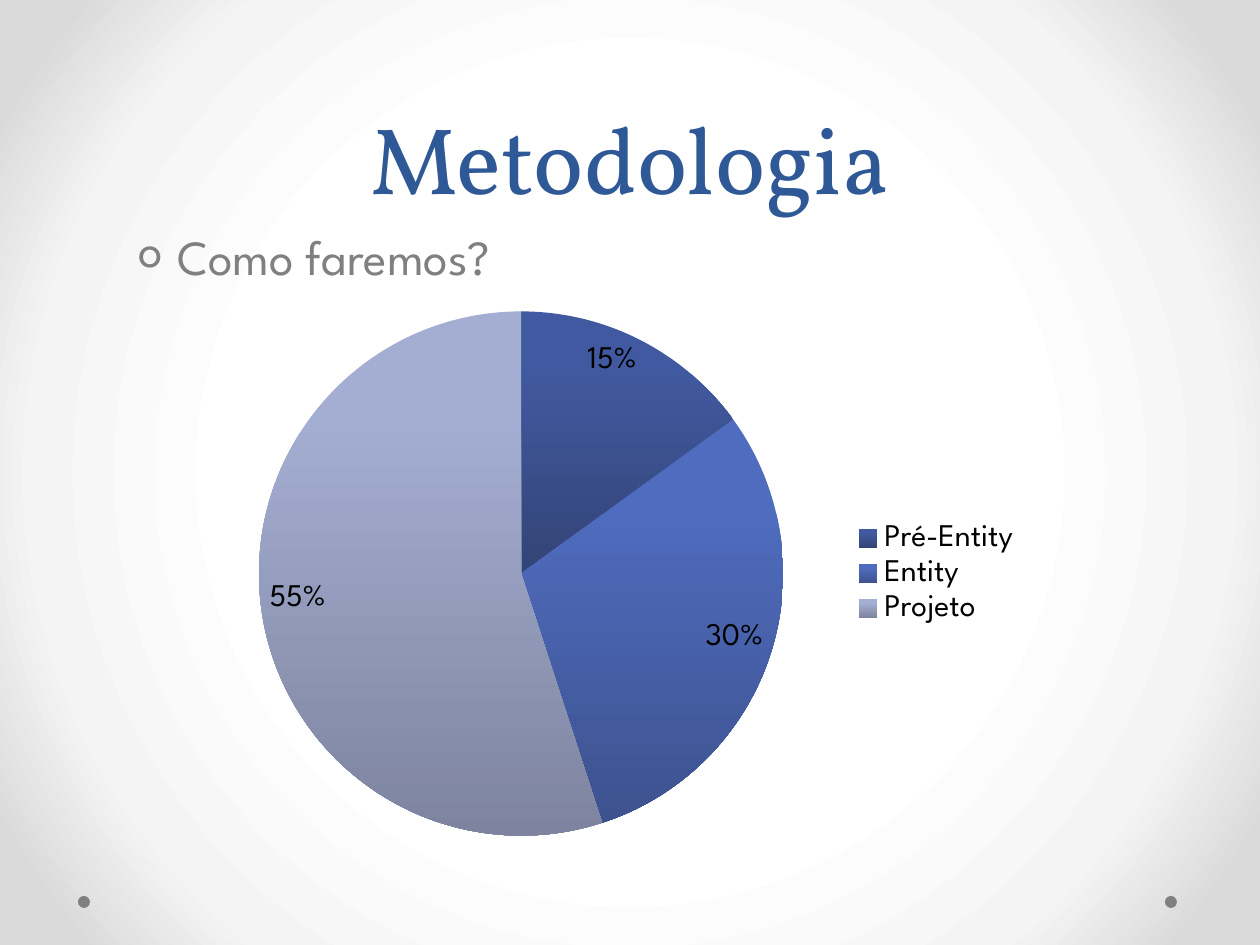
from pptx import Presentation
from pptx.chart.data import CategoryChartData
from pptx.dml.color import RGBColor
from pptx.enum.chart import XL_CHART_TYPE, XL_LABEL_POSITION, XL_LEGEND_POSITION
from pptx.enum.shapes import MSO_SHAPE
from pptx.enum.text import MSO_ANCHOR, PP_ALIGN
from pptx.oxml import parse_xml
from pptx.oxml.ns import nsdecls
from pptx.util import Emu, Pt

PIXEL = 914400 // 126
HEADING_FONT = "Vollkorn"
BODY_FONT = "League Spartan"
BLUE = RGBColor(0x2F, 0x58, 0x97)
GREY = RGBColor(0x80, 0x80, 0x80)
BLACK = RGBColor(0x00, 0x00, 0x00)
BACKGROUND_STOPS = [(50, "FFFFFF"), (76, "F4F4F4"), (92, "DADADA")]
SLICES = [
    ("Pré-Entity", 15, RGBColor(0x41, 0x59, 0xA0), RGBColor(0x33, 0x44, 0x76)),
    ("Entity", 30, RGBColor(0x4F, 0x6C, 0xBF), RGBColor(0x3D, 0x52, 0x8E)),
    ("Projeto", 55, RGBColor(0xA4, 0xAE, 0xD2), RGBColor(0x7E, 0x84, 0x9F)),
]


def pixels(*lengths):
    """Turn pixel lengths into EMU."""
    return [Emu(length * PIXEL) for length in lengths]


def format_font(font, name=BODY_FONT, size=18, color=BLACK):
    """Set the typeface, size and colour of a font."""
    font.name = name
    font.size = Pt(size)
    font.color.rgb = color


def write_text(frame, text, align=PP_ALIGN.LEFT, anchor=MSO_ANCHOR.TOP, **font_format):
    """Put one formatted paragraph in a text frame and return it."""
    frame.word_wrap = True
    frame.vertical_anchor = anchor
    paragraph = frame.paragraphs[0]
    paragraph.alignment = align
    run = paragraph.add_run()
    run.text = text
    format_font(run.font, **font_format)
    return paragraph


class SlideBuilder:
    """Adds styled elements to one slide."""

    def __init__(self, presentation):
        """Start a slide on the title-only layout."""
        self.slide = presentation.slides.add_slide(presentation.slide_layouts[5])

    def background(self, stops):
        """Fill the background with a circular gradient."""
        stop_xml = "".join(
            f'<a:gs pos="{position * 1000}"><a:srgbClr val="{color}"/></a:gs>'
            for position, color in stops
        )
        self.slide.element.cSld.insert(0, parse_xml(
            f'<p:bg {nsdecls("p", "a")}><p:bgPr><a:gradFill rotWithShape="1">'
            f'<a:gsLst>{stop_xml}</a:gsLst><a:path path="circle">'
            '<a:fillToRect l="50000" t="50000" r="50000" b="50000"/></a:path>'
            '</a:gradFill><a:effectLst/></p:bgPr></p:bg>'
        ))

    def title(self, text, left, top, width, height):
        """Place and format the title."""
        title = self.slide.shapes.title
        title.left, title.top, title.width, title.height = pixels(left, top, width, height)
        paragraph = write_text(title.text_frame, text, PP_ALIGN.CENTER, MSO_ANCHOR.BOTTOM,
                               name=HEADING_FONT, size=54, color=BLUE)
        paragraph.line_spacing = Pt(58)

    def bullet(self, text, left, top, width, height):
        """Add a text box with one bulleted paragraph."""
        box = self.slide.shapes.add_textbox(*pixels(left, top, width, height))
        paragraph = write_text(box.text_frame, text, size=28, color=GREY)
        paragraph.space_before = Pt(6)
        properties = paragraph._p.get_or_add_pPr()
        margin, indent = pixels(102, -39)
        properties.set("marL", str(margin))
        properties.set("indent", str(indent))
        for bullet_xml in (f'<a:buFont {nsdecls("a")} typeface="{BODY_FONT}"/>',
                           f'<a:buChar {nsdecls("a")} char="o"/>'):
            properties.append(parse_xml(bullet_xml))

    def dot(self, left, top, size):
        """Add a small grey disc."""
        shape = self.slide.shapes.add_shape(MSO_SHAPE.OVAL, *pixels(left, top, size, size))
        shape.shadow.inherit = False
        shape.fill.solid()
        shape.fill.fore_color.rgb = GREY
        shape.line.fill.background()

    def pie(self, slices, left, top, width, height):
        """Add a pie chart with shaded slices, percentages and a legend."""
        names, values, _, _ = zip(*slices)
        data = CategoryChartData()
        data.categories = names
        data.add_series("Series 1", values)
        chart = self.slide.shapes.add_chart(
            XL_CHART_TYPE.PIE, *pixels(left, top, width, height), data).chart
        format_font(chart.font)
        chart.has_title = False
        chart.has_legend = True
        chart.legend.position = XL_LEGEND_POSITION.RIGHT
        chart.legend.include_in_layout = False
        plot = chart.plots[0]
        plot.vary_by_categories = True
        plot.has_data_labels = True
        labels = plot.data_labels
        labels.show_percentage = True
        labels.show_value = False
        labels.number_format = "0%"
        labels.number_format_is_linked = False
        labels.position = XL_LABEL_POSITION.INSIDE_END
        for index, (_, _, light, dark) in enumerate(slices):
            fill = plot.series[0].points[index].format.fill
            fill.gradient()
            fill.gradient_angle = 270
            for stop, position, color in zip(fill.gradient_stops, (0.2, 1), (light, dark)):
                stop.position = position
                stop.color.rgb = color


def main():
    """Build and save the slide."""
    presentation = Presentation()
    presentation.slide_width, presentation.slide_height = pixels(1260, 945)
    builder = SlideBuilder(presentation)
    builder.background(BACKGROUND_STOPS)
    for left in (78, 1165):
        builder.dot(left, 896, 12)
    builder.title("Metodologia", 63, 0, 1134, 220)
    builder.bullet("Como faremos?", 63, 220, 1134, 624)
    builder.pie(SLICES, 194, 294, 840, 559)
    presentation.save("out.pptx")


main()
